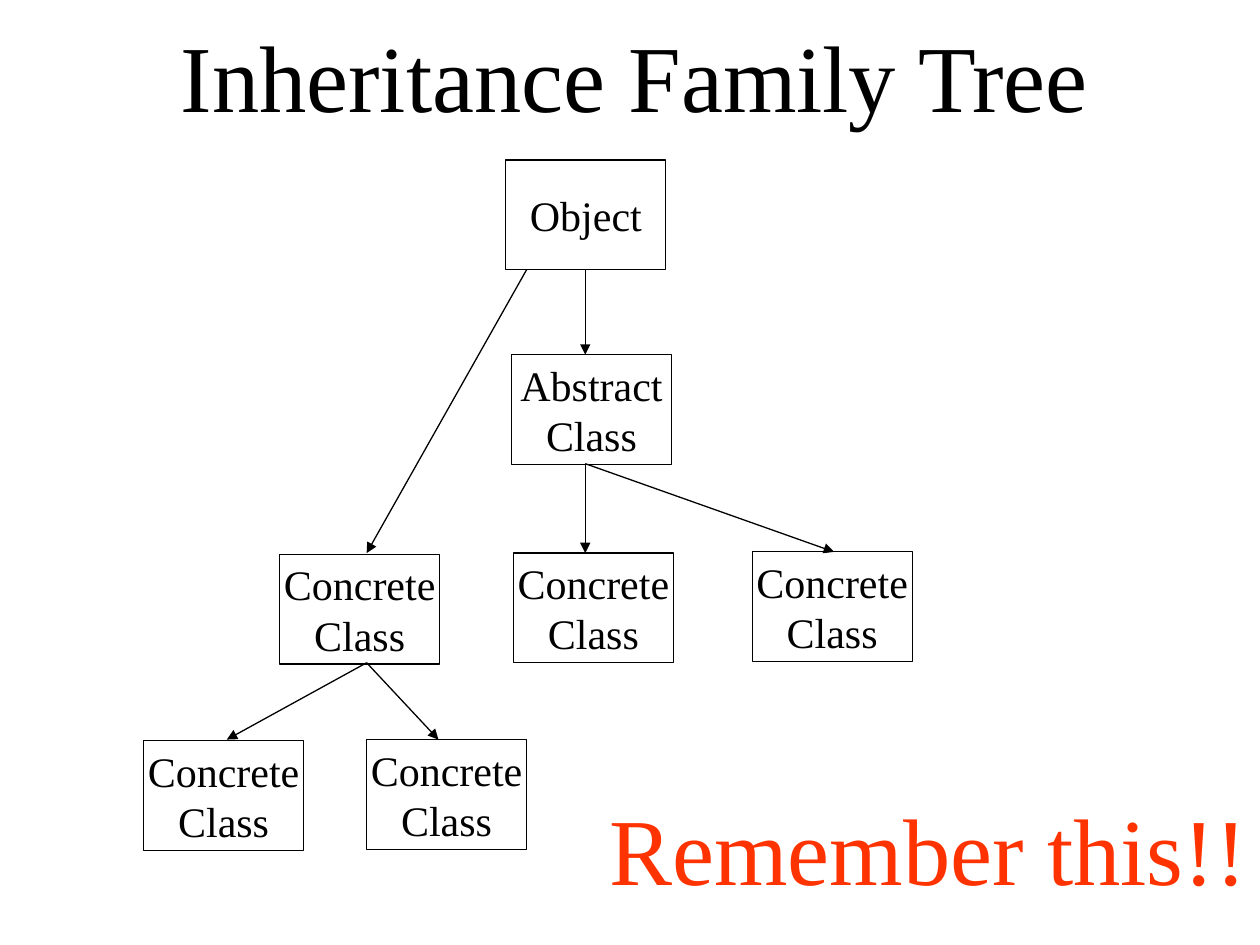
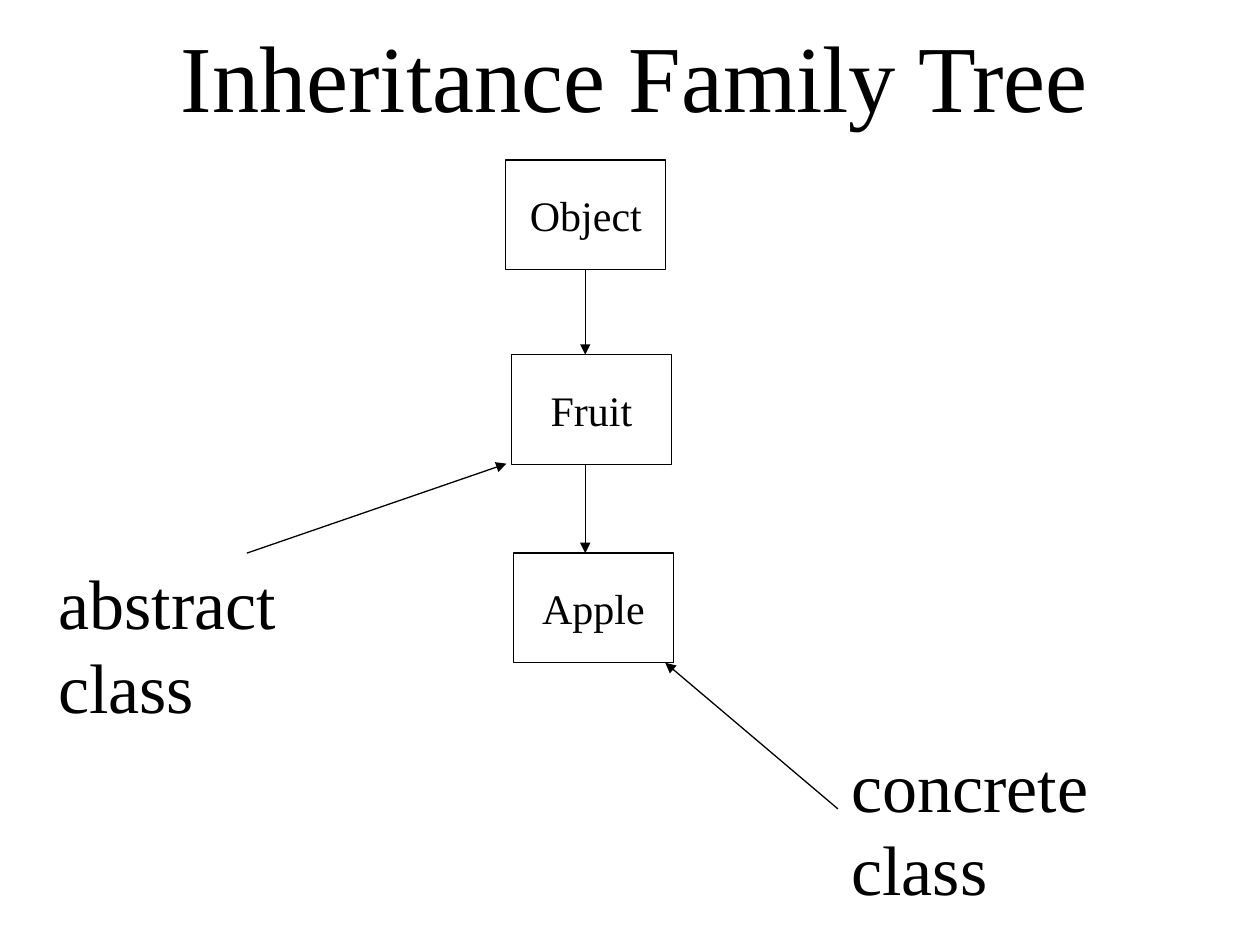
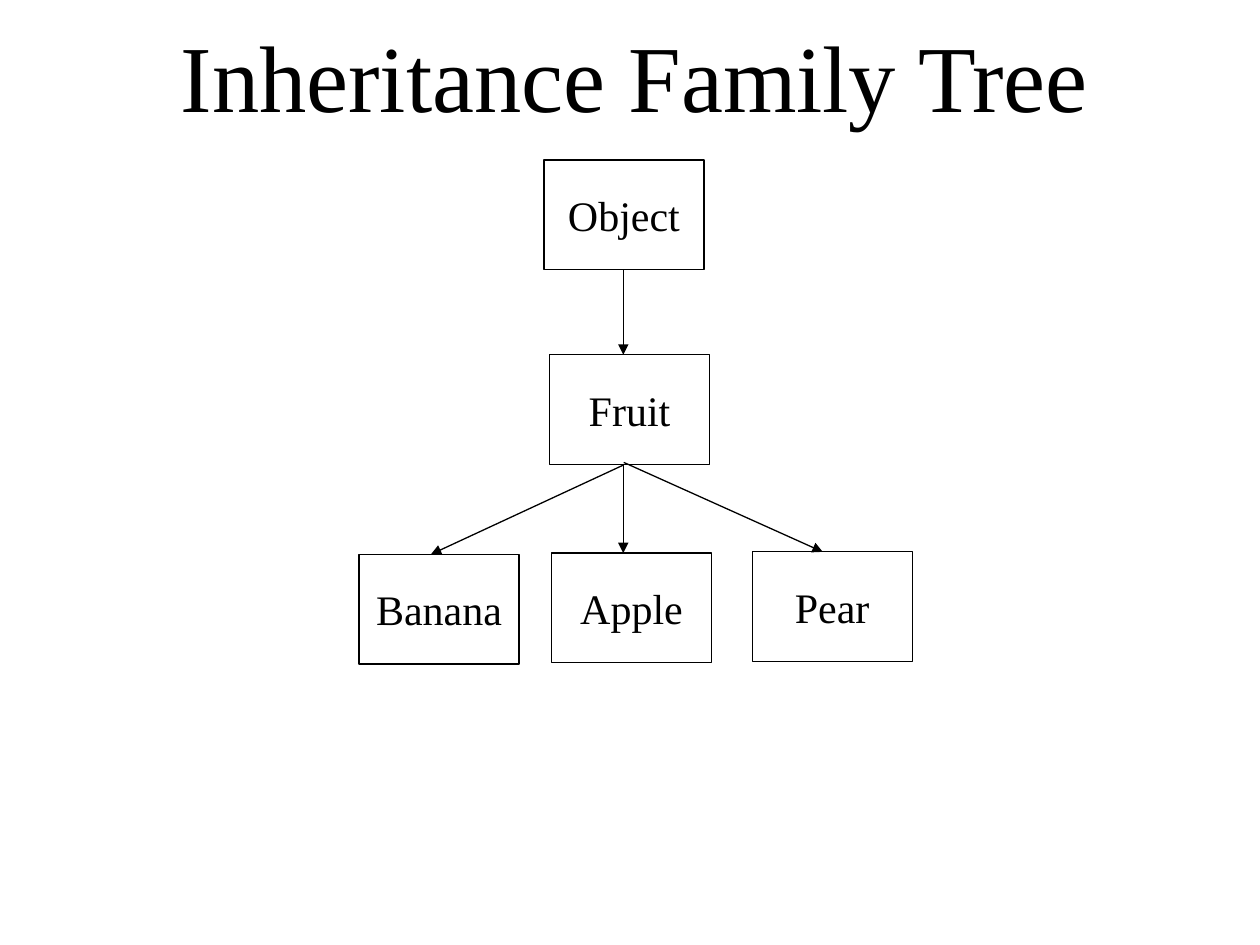
from dataclasses import dataclass

from lxml import etree
from pptx import Presentation
from pptx.dml.color import RGBColor
from pptx.enum.shapes import MSO_CONNECTOR, MSO_SHAPE
from pptx.enum.text import MSO_ANCHOR, MSO_AUTO_SIZE, PP_ALIGN
from pptx.oxml.ns import qn
from pptx.slide import Slide
from pptx.text.text import TextFrame
from pptx.util import Inches, Pt

STRAIGHT = MSO_CONNECTOR.STRAIGHT
RECTANGLE = MSO_SHAPE.RECTANGLE
MIDDLE = MSO_ANCHOR.MIDDLE
TOP = MSO_ANCHOR.TOP
GROW = MSO_AUTO_SIZE.SHAPE_TO_FIT_TEXT
CENTER = PP_ALIGN.CENTER
LEFT = PP_ALIGN.LEFT

BLACK = RGBColor(0x00, 0x00, 0x00)
WHITE = RGBColor(0xFF, 0xFF, 0xFF)
ORANGE_RED = RGBColor(0xFF, 0x33, 0x00)

FONT = "Times New Roman"
WIDTH, HEIGHT = Inches(10), Inches(7.5)
COLUMNS, ROWS = 100, 75
LINE_WIDTH = Pt(0.75)
BOX_COLUMNS, BOX_ROWS = 12.7, 8.7
BLANK_LAYOUT = 6

CONCRETE = "Concrete\nClass"
ROOT_ROW, PARENT_ROW, CHILD_ROW = 12.7, 28.15, 43.9
PARENT_BOTTOM, CHILD_BOTTOM = 36.8, 52.6
SPINE_COLUMN = 46.45
WIDE_SHIFT = 3.02


@dataclass(frozen=True)
class ClassBox:
    label: str
    column: float
    row: float


@dataclass(frozen=True)
class Arrow:
    from_column: float
    from_row: float
    to_column: float
    to_row: float


@dataclass(frozen=True)
class Caption:
    text: str
    column: float
    row: float
    columns: float
    rows: float
    size: int
    color: RGBColor = BLACK


@dataclass(frozen=True)
class FamilyTree:
    spine: tuple[str, str, str]
    shift: float = 0
    boxes: tuple[ClassBox, ...] = ()
    arrows: tuple[Arrow, ...] = ()
    captions: tuple[Caption, ...] = ()


TITLE = Caption("Inheritance Family Tree", 13.35, 0.9, 74.5, 10, 54)

TREES = (
    FamilyTree(
        spine=("Object", "Abstract\nClass", CONCRETE),
        boxes=(
            ClassBox(CONCRETE, 22.2, 44),
            ClassBox(CONCRETE, 59.7, 43.8),
            ClassBox(CONCRETE, 11.4, 58.8),
            ClassBox(CONCRETE, 29.1, 58.7),
        ),
        arrows=(
            Arrow(41.8, 21.4, 29.1, CHILD_ROW),
            Arrow(29.1, CHILD_BOTTOM, 18, 58.7),
            Arrow(29.1, CHILD_BOTTOM, 34.8, 58.7),
            Arrow(SPINE_COLUMN, PARENT_BOTTOM, 66.2, 43.8),
        ),
        captions=(Caption("Remember this!!", 47.4, 62.3, 52.6, 10, 54, ORANGE_RED),),
    ),
    FamilyTree(
        spine=("Object", "Fruit", "Apple"),
        arrows=(
            Arrow(19.6, CHILD_ROW, 40.2, PARENT_BOTTOM),
            Arrow(66.5, 64.2, 52.8, CHILD_BOTTOM),
        ),
        captions=(
            Caption("abstract\nclass", 3.65, 43.9, 19.5, 14.4, 40),
            Caption("concrete\nclass", 66.6, 58.4, 21, 14.4, 40),
        ),
    ),
    FamilyTree(
        spine=("Object", "Fruit", "Apple"),
        shift=WIDE_SHIFT,
        boxes=(ClassBox("Banana", 28.5, 44), ClassBox("Pear", 59.7, 43.8)),
        arrows=(
            Arrow(49.5, 36.9, 34.2, 44),
            Arrow(49.5, 36.7, 65.3, 43.8),
        ),
    ),
)


def across(columns: float) -> int:
    return round(WIDTH * columns / COLUMNS)


def down(rows: float) -> int:
    return round(HEIGHT * rows / ROWS)


def write_lines(frame: TextFrame, text: str, size: int, color: RGBColor,
                alignment: PP_ALIGN, anchor: MSO_ANCHOR) -> None:
    frame.word_wrap = False
    frame.vertical_anchor = anchor
    for index, line in enumerate(text.split("\n")):
        para = frame.add_paragraph() if index else frame.paragraphs[0]
        para.alignment = alignment
        span = para.add_run()
        span.text = line
        span.font.name = FONT
        span.font.size = Pt(size)
        span.font.color.rgb = color


def draw_box(page: Slide, item: ClassBox) -> None:
    box = page.shapes.add_shape(RECTANGLE, across(item.column), down(item.row),
                                across(BOX_COLUMNS), down(BOX_ROWS))
    box.shadow.inherit = False
    box.fill.background()
    box.line.color.rgb = BLACK
    box.line.width = LINE_WIDTH
    write_lines(box.text_frame, item.label, 24, BLACK, CENTER, MIDDLE)


def draw_arrow(page: Slide, item: Arrow) -> None:
    arrow = page.shapes.add_connector(
        STRAIGHT, across(item.from_column), down(item.from_row),
        across(item.to_column), down(item.to_row))
    arrow.line.color.rgb = BLACK
    arrow.line.width = LINE_WIDTH
    properties = arrow.element.find(qn("p:spPr"))
    outline = properties.find(qn("a:ln"))
    etree.SubElement(outline, qn("a:tailEnd"), type="triangle")
    etree.SubElement(properties, qn("a:effectLst"))


def draw_caption(page: Slide, item: Caption) -> None:
    box = page.shapes.add_textbox(across(item.column), down(item.row),
                                  across(item.columns), down(item.rows))
    write_lines(box.text_frame, item.text, item.size, item.color, LEFT, TOP)
    box.text_frame.auto_size = GROW


def draw_spine(page: Slide, labels: tuple[str, str, str], shift: float) -> None:
    places = ((40.15, ROOT_ROW), (40.6, PARENT_ROW), (40.75, CHILD_ROW))
    for label, (column, row) in zip(labels, places):
        draw_box(page, ClassBox(label, column + shift, row))
    center = SPINE_COLUMN + shift
    for start, end in ((ROOT_ROW + BOX_ROWS, PARENT_ROW), (PARENT_BOTTOM, CHILD_ROW)):
        draw_arrow(page, Arrow(center, start, center, end))


def draw_tree(page: Slide, tree: FamilyTree) -> None:
    page.background.fill.solid()
    page.background.fill.fore_color.rgb = WHITE
    draw_spine(page, tree.spine, tree.shift)
    for box in tree.boxes:
        draw_box(page, box)
    for arrow in tree.arrows:
        draw_arrow(page, arrow)
    for caption in (TITLE, *tree.captions):
        draw_caption(page, caption)


def main() -> None:
    deck = Presentation()
    deck.slide_width, deck.slide_height = WIDTH, HEIGHT
    for tree in TREES:
        draw_tree(deck.slides.add_slide(deck.slide_layouts[BLANK_LAYOUT]), tree)
    deck.save("out.pptx")


if __name__ == "__main__":
    main()
